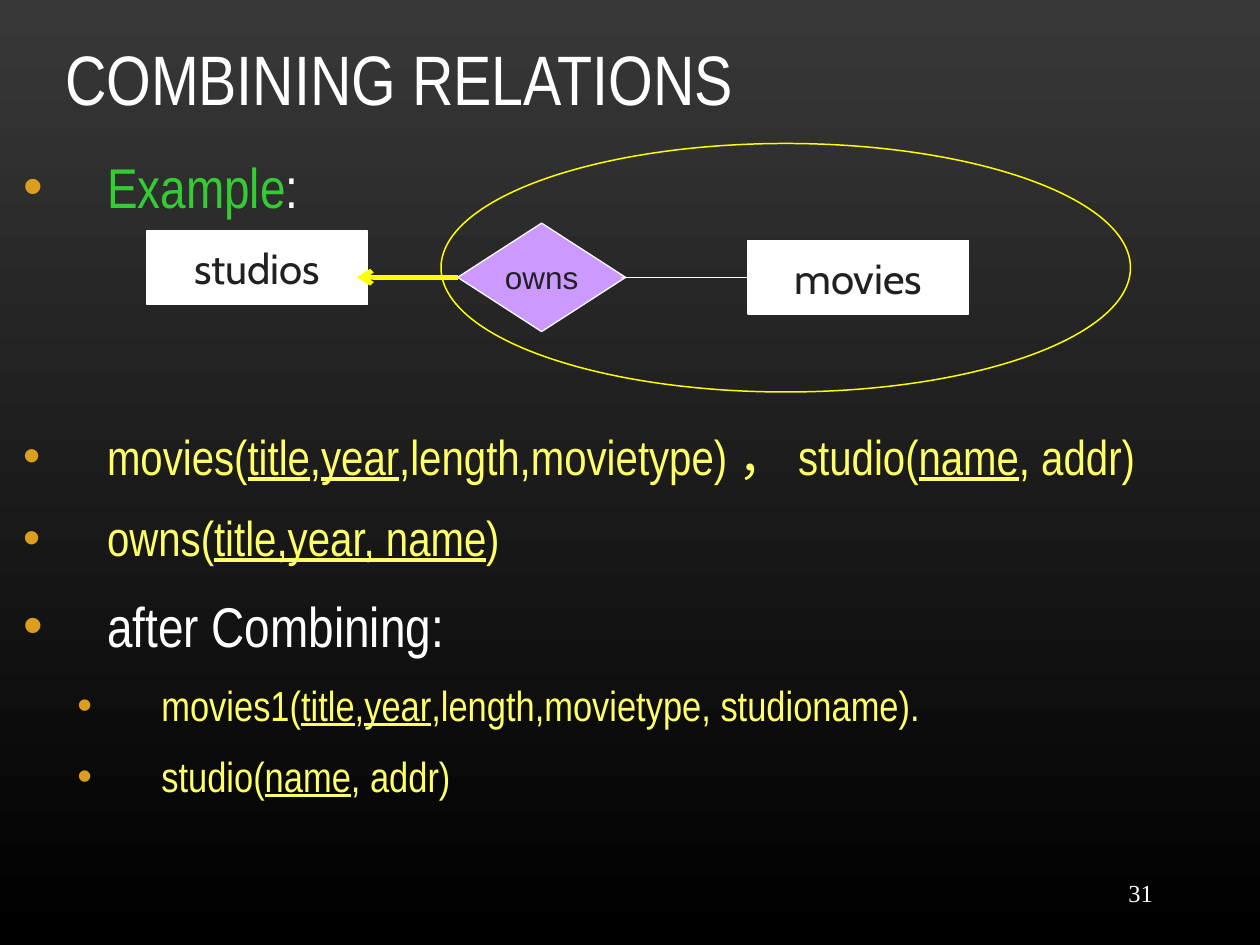
from dataclasses import dataclass, field
from typing import Any

from lxml import etree
from pptx import Presentation
from pptx.dml.color import RGBColor
from pptx.enum.shapes import MSO_CONNECTOR, MSO_SHAPE
from pptx.enum.text import MSO_ANCHOR, MSO_AUTO_SIZE, PP_ALIGN
from pptx.oxml.ns import qn
from pptx.util import Pt

LEFT, MID, RIGHT = PP_ALIGN.LEFT, PP_ALIGN.CENTER, PP_ALIGN.RIGHT
CENTRE, LOW, TOP = MSO_ANCHOR.MIDDLE, MSO_ANCHOR.BOTTOM, MSO_ANCHOR.TOP
RECT, DIAMOND, OVAL = MSO_SHAPE.RECTANGLE, MSO_SHAPE.DIAMOND, MSO_SHAPE.OVAL
STRAIGHT = MSO_CONNECTOR.STRAIGHT
FIXED = MSO_AUTO_SIZE.NONE


@dataclass(frozen=True)
class Theme:
    white: str = "FFFFFF"
    ink: str = "1F2123"
    green: str = "33CC33"
    lemon: str = "FFFF66"
    yellow: str = "FFFF00"
    violet: str = "CC99FF"
    gold: str = "DC9E1F"
    dusk: tuple = ("383838", "000000")
    main: str = "Arial Narrow"
    label: str = "Cabin"
    plain: str = "Arial"
    serif: str = "Times New Roman"
    head: int = 40
    large: int = 32
    mid: int = 28
    small: int = 24
    mark: int = 18
    page: int = 14


def rgb(code):
    return RGBColor.from_string(code)


def write(para, text, *, font, size, color, align=LEFT):
    """Add text to a paragraph; parts between underscores are underlined."""
    para.alignment = align
    for i, part in enumerate(text.split("_")):
        if part:
            run = para.add_run()
            run.text = part
            run.font.name = font
            run.font.size = Pt(size)
            run.font.color.rgb = rgb(color)
            if i % 2:
                run.font.underline = True


def place(shape, box):
    shape.left, shape.top, shape.width, shape.height = map(Pt, box)


@dataclass
class Sheet:
    slide: Any
    look: Theme = field(default_factory=Theme)

    def ground(self):
        fill = self.slide.background.fill
        fill.gradient()
        fill.gradient_angle = 270
        for i, (stop, code) in enumerate(zip(fill.gradient_stops, self.look.dusk)):
            stop.position = i
            stop.color.rgb = rgb(code)

    def frame(self, shape, anchor, wrap=True):
        text = shape.text_frame
        text.word_wrap = wrap
        text.auto_size = FIXED
        text.vertical_anchor = anchor
        return text

    def title(self, text, box):
        shape = self.slide.shapes.title
        place(shape, box)
        para = self.frame(shape, LOW).paragraphs[0]
        write(para, text, font=self.look.main, size=self.look.head,
              color=self.look.white)

    def bullet(self, para, inset):
        props = para._p.get_or_add_pPr()
        props.set("marL", str(Pt(inset)))
        props.set("indent", str(Pt(-48)))
        tint = etree.SubElement(props, qn("a:buClr"))
        etree.SubElement(tint, qn("a:srgbClr"), val=self.look.gold)
        etree.SubElement(props, qn("a:buFont"), typeface=self.look.plain)
        etree.SubElement(props, qn("a:buChar"), char="•")

    def body(self, items, box):
        """Fill the body; an item is (level, size, space before, parts)."""
        shape = self.slide.placeholders[1]
        place(shape, box)
        text = self.frame(shape, TOP)
        for i, (level, size, before, parts) in enumerate(items):
            para = text.add_paragraph() if i else text.paragraphs[0]
            para.level = level
            self.bullet(para, (48, 79)[level])
            para.space_before, para.space_after = Pt(before), Pt(6)
            for words, color in parts:
                write(para, words, font=self.look.main, size=size, color=color)

    def note(self, text, box, **style):
        shape = self.slide.shapes.add_textbox(*map(Pt, box))
        write(self.frame(shape, CENTRE).paragraphs[0], text, **style)

    def shape(self, kind, box, line, width=0.75, fill=None):
        shape = self.slide.shapes.add_shape(kind, *map(Pt, box))
        shape.shadow.inherit = False
        if fill:
            shape.fill.solid()
            shape.fill.fore_color.rgb = rgb(fill)
        else:
            shape.fill.background()
        shape.line.color.rgb = rgb(line)
        shape.line.width = Pt(width)
        return shape

    def node(self, kind, text, box, fill, font, size):
        shape = self.shape(kind, box, self.look.white, fill=fill)
        para = self.frame(shape, CENTRE, wrap=False).paragraphs[0]
        write(para, text, font=font, size=size, color=self.look.ink, align=MID)

    def link(self, start, end, y, color, width, arrow=False):
        line = self.slide.shapes.add_connector(
            STRAIGHT, Pt(start), Pt(y), Pt(end), Pt(y))
        line.line.color.rgb = rgb(color)
        line.line.width = Pt(width)
        props = line._element.spPr
        if arrow:
            etree.SubElement(props.find(qn("a:ln")), qn("a:tailEnd"), type="arrow")
        etree.SubElement(props, qn("a:effectLst"))


def main():
    deck = Presentation()
    deck.slide_width, deck.slide_height = Pt(720), Pt(540)
    sheet = Sheet(deck.slides.add_slide(deck.slide_layouts[1]))
    look = sheet.look
    white, lemon = look.white, look.lemon

    sheet.ground()
    sheet.title("COMBINING RELATIONS", (30, 18, 612, 54))
    # The wide space before the second item leaves room for the diagram.
    sheet.body([
        (0, look.large, 0, [("Example", look.green), (":", white)]),
        (0, look.mid, 112,
         [("movies(_title_,_year_,length,movietype) ， studio(_name_, addr)", lemon)]),
        (0, look.mid, 7, [("owns(_title,year, name_)", lemon)]),
        (0, look.large, 8, [("after Combining:", white)]),
        (1, look.small, 6,
         [("movies1(_title_,_year_,length,movietype, studioname).", lemon)]),
        (1, look.small, 6, [("studio(_name_, addr)", lemon)]),
    ], (6, 83.5, 720, 409))
    sheet.note("31", (516, 492, 150, 36), font=look.serif, size=look.page,
               color=white, align=RIGHT)

    axis = 158.4
    sheet.node(RECT, "movies", (427.5, 137.5, 126, 42), white, look.label, look.small)
    sheet.node(DIAMOND, "owns", (261.5, 127.5, 96, 62), look.violet,
               look.plain, look.mark)
    sheet.link(355, 427.5, axis, white, 0.75)
    sheet.node(RECT, "studios", (84, 132, 126, 42), white, look.label, look.small)
    sheet.link(261.5, 204, axis, look.yellow, 2.75, arrow=True)
    sheet.shape(OVAL, (252, 82, 394, 142), look.yellow, 0.85)

    deck.save("out.pptx")


if __name__ == "__main__":
    main()
